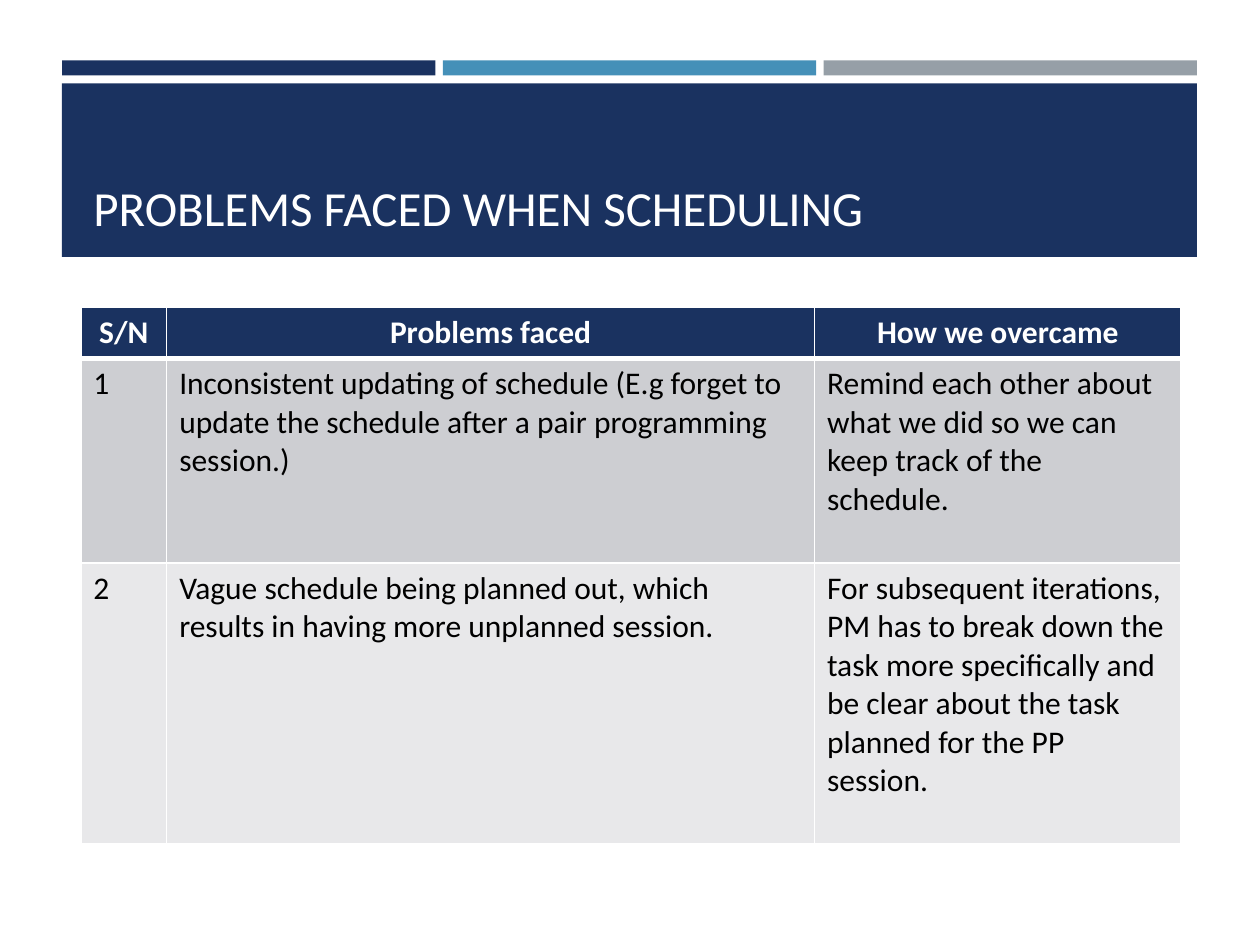
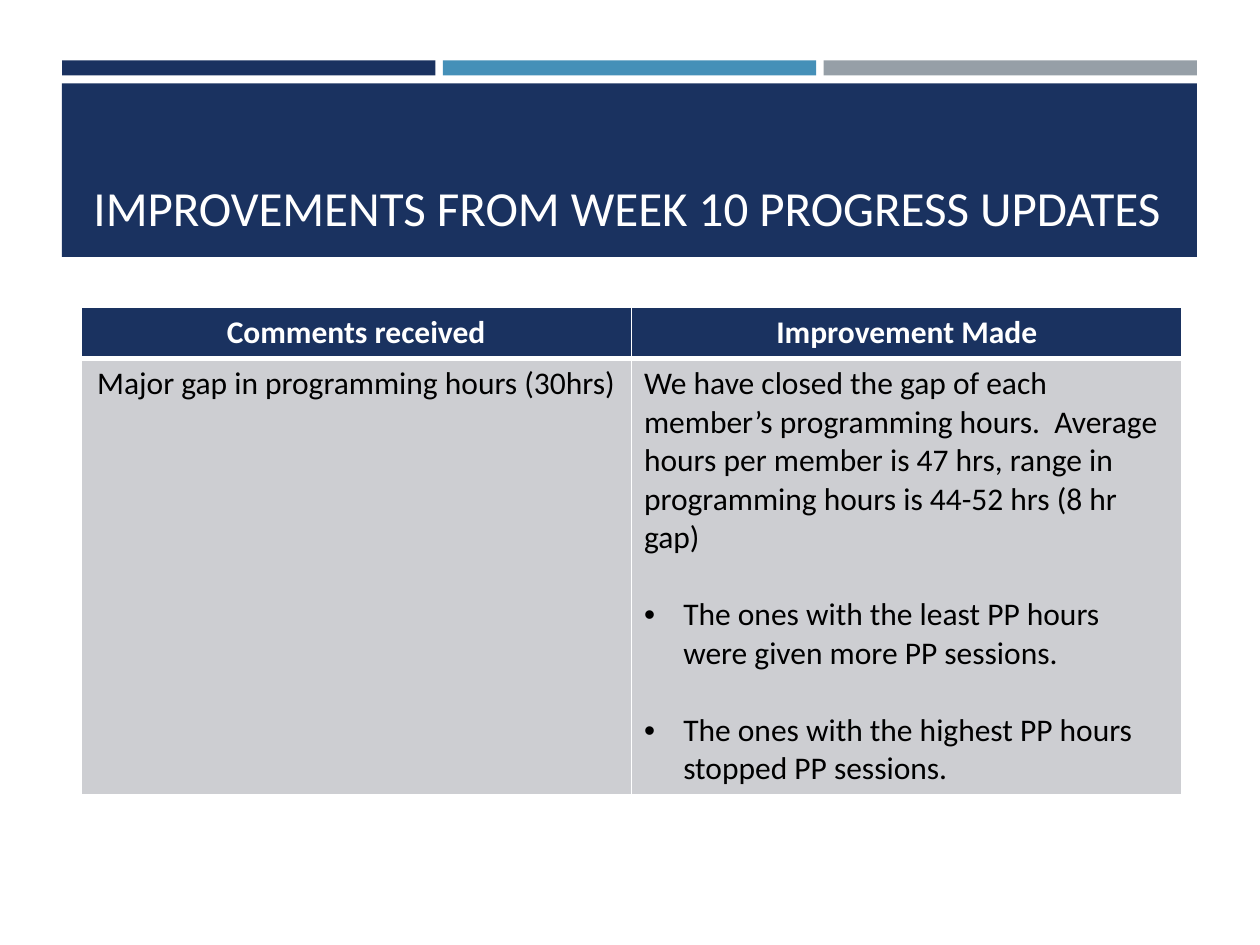
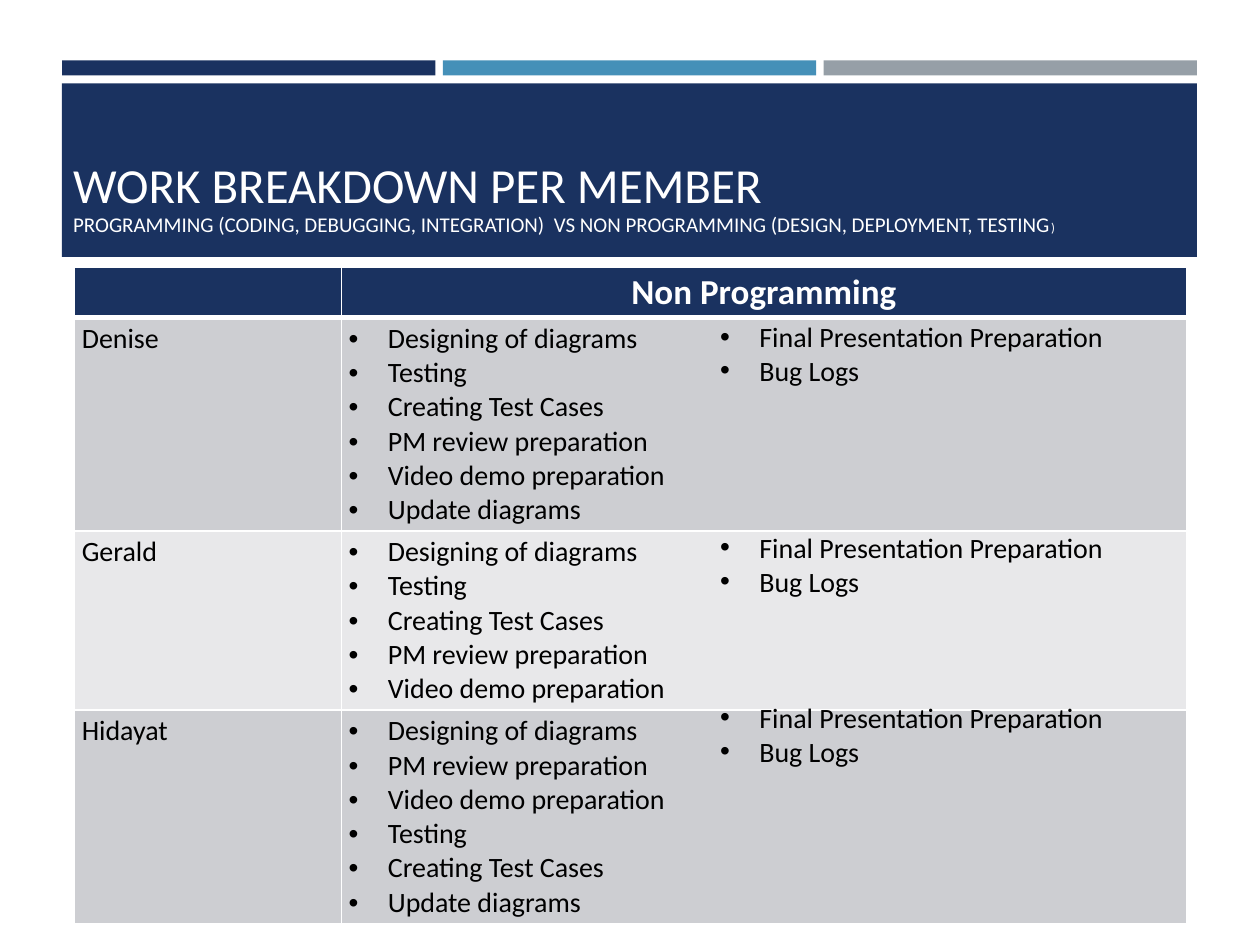
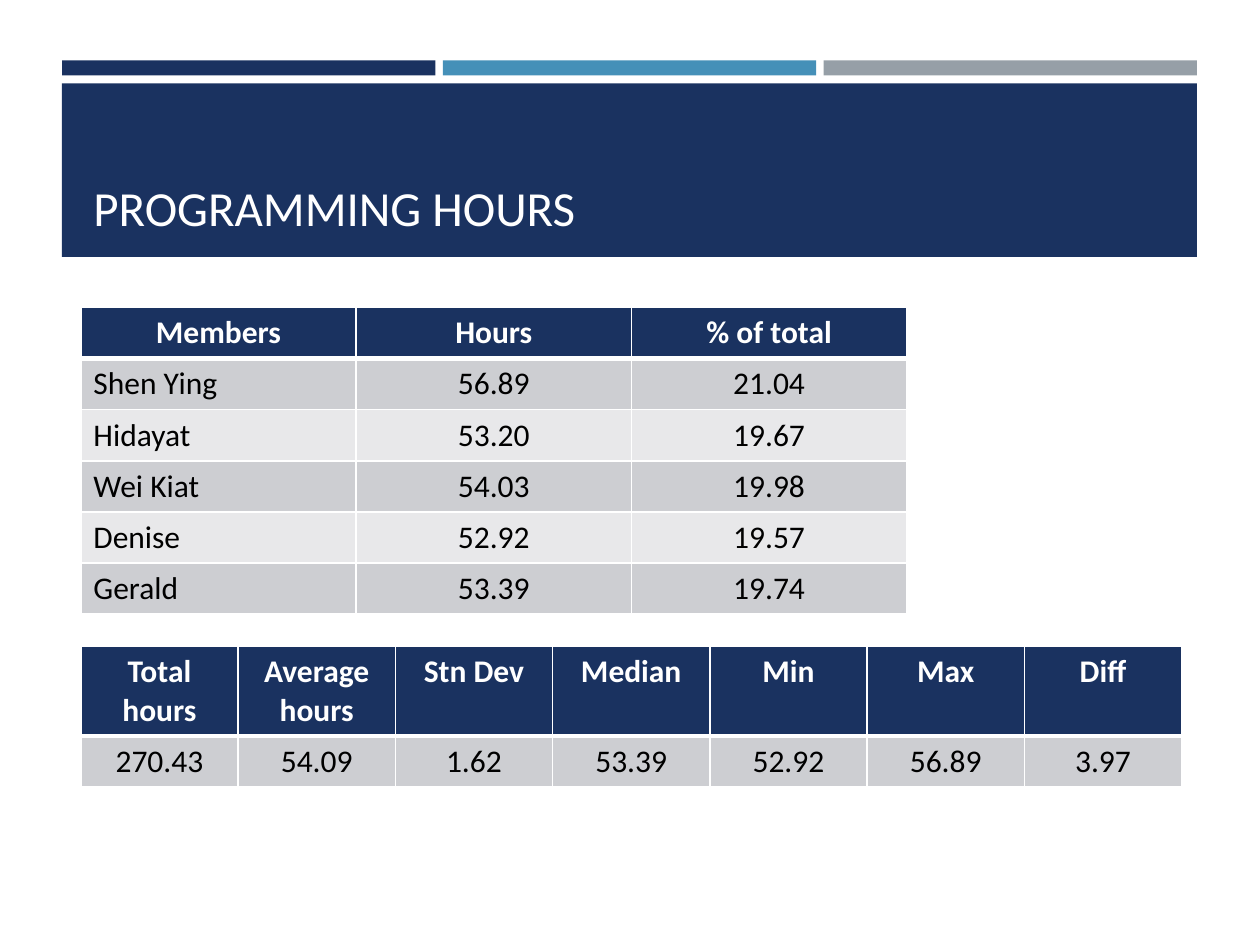
"""Build four project-review slides on scheduling, improvements, work breakdown and hours."""
from dataclasses import dataclass

from lxml import etree
from pptx import Presentation
from pptx.dml.color import RGBColor
from pptx.enum.shapes import MSO_SHAPE
from pptx.enum.text import MSO_ANCHOR, MSO_AUTO_SIZE, PP_ALIGN
from pptx.oxml.ns import qn
from pptx.util import Cm, Pt

RECTANGLE = MSO_SHAPE.RECTANGLE
BOTTOM = MSO_ANCHOR.BOTTOM
NO_FIT = MSO_AUTO_SIZE.NONE
LEFT, CENTER = PP_ALIGN.LEFT, PP_ALIGN.CENTER
TITLE_ONLY = 5


@dataclass(frozen=True)
class Theme:
    font: str = "Calibri"
    navy: str = "1A3260"
    blue: str = "4590B8"
    gray: str = "969FA7"
    white: str = "FFFFFF"
    black: str = "000000"
    stripes: tuple = ("CDCED2", "E8E8EA")
    title_size: float = 28
    subtitle_size: float = 12
    closing_size: float = 7.3
    head_size: float = 18
    wide_head_size: float = 20
    body_size: float = 18
    list_size: float = 16
    thin: float = 1
    thick: float = 3


@dataclass(frozen=True)
class Para:
    text: str
    bullet: bool = False
    before: float = 0


def bullets(items, before=0):
    return [Para(item, True, before) for item in items]


class Deck:
    def __init__(self, theme):
        self.theme = theme
        self.deck = Presentation()
        self.deck.slide_width, self.deck.slide_height = Cm(25.4), Cm(19.05)
        self.layout = self.deck.slide_layouts[TITLE_ONLY]
        self.slide = None

    def start(self, title_lines, left=1.63, width=22.2):
        first = self.slide is None
        self.slide = self.deck.slides.add_slide(self.layout)
        if first:
            self.share_bands()
        self.title(title_lines, left, width)

    def share_bands(self):
        left, width, gap = 1.25, 22.88, 0.15
        strip = (width - 2 * gap) / 3
        colors = (self.theme.navy, self.theme.blue, self.theme.gray)
        bands = [self.band(left + i * (strip + gap), 1.22, strip, 0.3, color)
                 for i, color in enumerate(colors)]
        bands.append(self.band(left, 1.68, width, 3.5, self.theme.navy))
        for i, band in enumerate(bands):
            band.element.nvSpPr.cNvPr.set("id", str(100 + i))
            self.layout.shapes.element.insert(2 + i, band.element)

    def band(self, left, top, width, height, color):
        band = self.slide.shapes.add_shape(
            RECTANGLE, Cm(left), Cm(top), Cm(width), Cm(height))
        band.shadow.inherit = False
        band.fill.solid()
        band.fill.fore_color.rgb = RGBColor.from_string(color)
        band.line.fill.background()
        return band

    def title(self, lines, left, width):
        heading = self.slide.shapes.title
        heading.left, heading.top = Cm(left), Cm(1.91)
        heading.width, heading.height = Cm(width), Cm(3)
        frame = heading.text_frame
        frame.auto_size = NO_FIT
        frame.word_wrap = True
        frame.vertical_anchor = BOTTOM
        paragraph = frame.paragraphs[0]
        paragraph.alignment = LEFT
        paragraph.line_spacing = 0.9
        for i, line in enumerate(lines):
            if i:
                paragraph.add_line_break()
            for text, size in line:
                self.add_text(paragraph, text, size, self.theme.white)

    def add_text(self, paragraph, text, size, color, bold=False):
        run = paragraph.add_run()
        run.text = text
        run.font.name = self.theme.font
        run.font.size = Pt(size)
        run.font.bold = bold
        run.font.color.rgb = RGBColor.from_string(color)

    def add_paras(self, frame, paras, size, color, align=LEFT, bold=False):
        for i, para in enumerate(paras):
            paragraph = frame.add_paragraph() if i else frame.paragraphs[0]
            paragraph.alignment = align
            if para.bullet:
                self.bullet(paragraph)
            if para.before:
                paragraph.space_before = Pt(para.before)
            self.add_text(paragraph, para.text, size, color, bold)

    def bullet(self, paragraph):
        properties = paragraph._p.get_or_add_pPr()
        properties.set("marL", str(Cm(0.79)))
        properties.set("indent", str(-Cm(0.79)))
        etree.SubElement(properties, qn("a:buFont"), typeface="Arial")
        etree.SubElement(properties, qn("a:buChar"), char="•")

    def list_box(self, left, top, width, height, items):
        box = self.slide.shapes.add_textbox(Cm(left), Cm(top), Cm(width), Cm(height))
        box.text_frame.word_wrap = True
        self.add_paras(box.text_frame, bullets(items), self.theme.list_size, self.theme.black)

    def borders(self, cell, top, bottom):
        properties = cell._tc.get_or_add_tcPr()
        thin = self.theme.thin
        for side, width in (("lnL", thin), ("lnR", thin), ("lnT", top), ("lnB", bottom)):
            line = etree.SubElement(properties, qn(f"a:{side}"), w=str(Pt(width)))
            fill = etree.SubElement(line, qn("a:solidFill"))
            etree.SubElement(fill, qn("a:srgbClr"), val=self.theme.white)

    def table(self, left, top, widths, heights, rows, centred=(),
              head_size=None, body_size=None, margins=None):
        theme = self.theme
        table = self.slide.shapes.add_table(
            len(rows), len(widths), Cm(left), Cm(top),
            Cm(sum(widths)), Cm(sum(heights))).table
        for column, width in zip(table.columns, widths):
            column.width = Cm(width)
        for row, height in zip(table.rows, heights):
            row.height = Cm(height)
        for r, row in enumerate(rows):
            head = r == 0
            fill = theme.navy if head else theme.stripes[(r - 1) % 2]
            color = theme.white if head else theme.black
            size = (head_size or theme.head_size) if head else (body_size or theme.body_size)
            for c, content in enumerate(row):
                cell = table.cell(r, c)
                self.borders(cell, theme.thick if r == 1 else theme.thin,
                             theme.thick if head else theme.thin)
                cell.fill.solid()
                cell.fill.fore_color.rgb = RGBColor.from_string(fill)
                if margins:
                    cell.margin_left = cell.margin_right = Cm(margins[0])
                    cell.margin_top = cell.margin_bottom = Cm(margins[1])
                if content:
                    paras = [Para(content)] if isinstance(content, str) else content
                    align = CENTER if head or c in centred else LEFT
                    self.add_paras(cell.text_frame, paras, size, color, align, head)


def scheduling_problems(deck):
    deck.start([[("PROBLEMS FACED WHEN SCHEDULING", deck.theme.title_size)]])
    deck.table(1.63, 6.2, (1.73, 13.06, 7.39), (1.03, 4.12, 5.66), [
        ("S/N", "Problems faced", "How we overcame"),
        ("1",
         "Inconsistent updating of schedule (E.g forget to update the schedule "
         "after a pair programming session.)",
         "Remind each other about what we did so we can keep track of the schedule."),
        ("2",
         "Vague schedule being planned out, which results in having more "
         "unplanned session.",
         "For subsequent iterations, PM has to break down the task more "
         "specifically and be clear about the task planned for the PP session."),
    ])


def improvements(deck):
    deck.start([[("IMPROVEMENTS FROM WEEK 10 PROGRESS UPDATES", deck.theme.title_size)]])
    closed_gap = Para(
        "We have closed the gap of each member’s programming hours.  Average hours "
        "per member is 47 hrs, range in programming hours is 44-52 hrs (8 hr gap)")
    measures = bullets([
        "The ones with the least PP hours were given more PP sessions.",
        "The ones with the highest PP hours stopped PP sessions.",
    ], before=22)
    deck.table(1.63, 6.2, (11.1, 11.1), (1.03, 8.75), [
        ("Comments received", "Improvement Made"),
        ("Major gap in programming hours (30hrs)", [closed_gap, *measures]),
    ], centred=(0,))


def work_breakdown(deck):
    theme = deck.theme
    deck.start([
        [("WORK BREAKDOWN PER MEMBER", theme.title_size)],
        [("PROGRAMMING (CODING, DEBUGGING, INTEGRATION)  VS NON PROGRAMMING "
          "(DESIGN, DEPLOYMENT, TESTING", theme.subtitle_size),
         (")", theme.closing_size)],
    ], left=1.22, width=22.7)
    design, testing, cases = "Designing of diagrams", "Testing", "Creating Test Cases"
    review, video, update = "PM review preparation", "Video demo preparation", "Update diagrams"
    duties = {
        "Denise": (design, testing, cases, review, video, update),
        "Gerald": (design, testing, cases, review, video),
        "Hidayat": (design, review, video, testing, cases, update),
    }
    deck.table(1.5, 5.38, (5.38, 17.04), (1.01, 4.27, 3.6, 4.27),
               [("", "Non Programming"),
                *((member, bullets(tasks)) for member, tasks in duties.items())],
               head_size=theme.wide_head_size, body_size=theme.list_size,
               margins=(0.15, 0.08))
    for top in (6.32, 10.57, 14):
        deck.list_box(14.27, top, 8.74, 1.63, ("Final Presentation Preparation", "Bug Logs"))


def programming_hours(deck):
    deck.start([[("PROGRAMMING HOURS", deck.theme.title_size)]])
    deck.table(1.63, 6.2, [5.55] * 3, [1.03] * 6, [
        ("Members", "Hours", "% of total"),
        ("Shen Ying", "56.89", "21.04"),
        ("Hidayat", "53.20", "19.67"),
        ("Wei Kiat", "54.03", "19.98"),
        ("Denise", "52.92", "19.57"),
        ("Gerald", "53.39", "19.74"),
    ], centred=(1, 2))
    deck.table(1.63, 13.03, [3.17] * 7, (1.79, 1.03), [
        ("Total hours", "Average hours", "Stn Dev", "Median", "Min", "Max", "Diff"),
        ("270.43", "54.09", "1.62", "53.39", "52.92", "56.89", "3.97"),
    ], centred=range(7))


def main():
    review = Deck(Theme())
    for build in (scheduling_problems, improvements, work_breakdown, programming_hours):
        build(review)
    review.deck.save("out.pptx")


if __name__ == "__main__":
    main()
